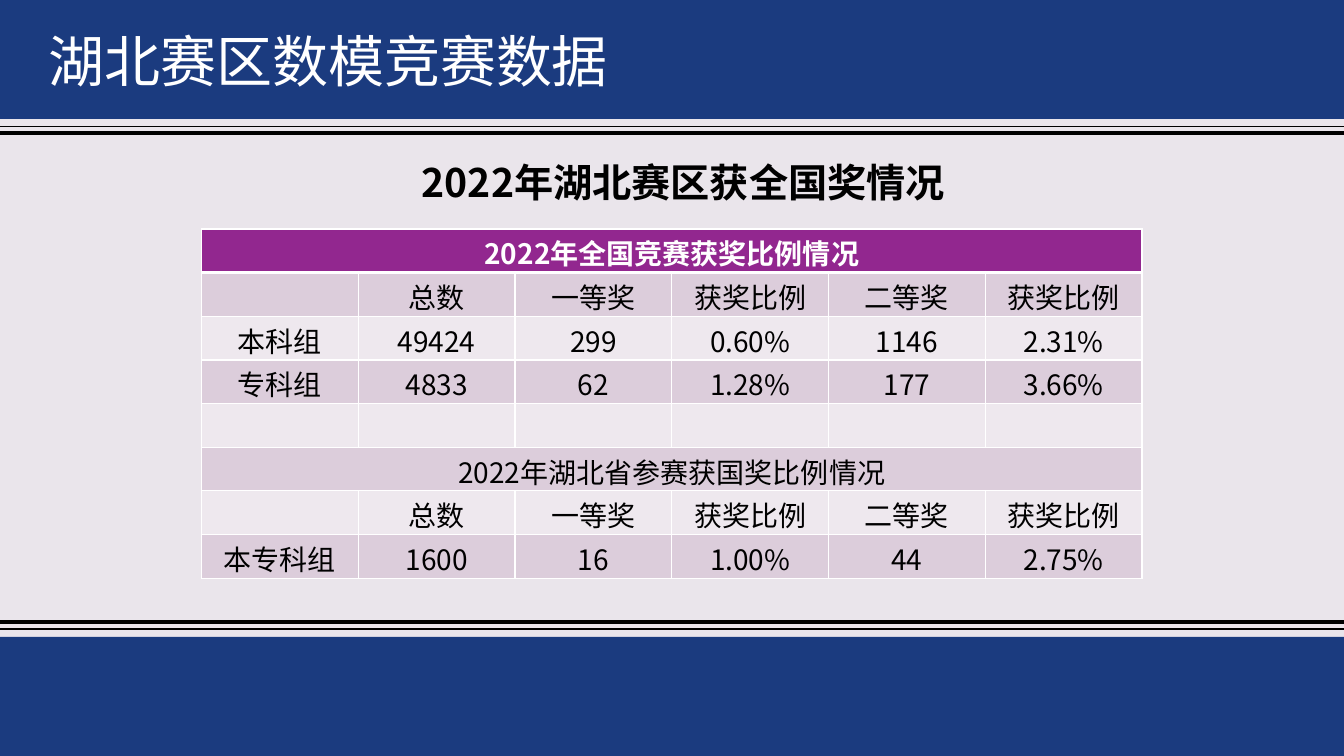
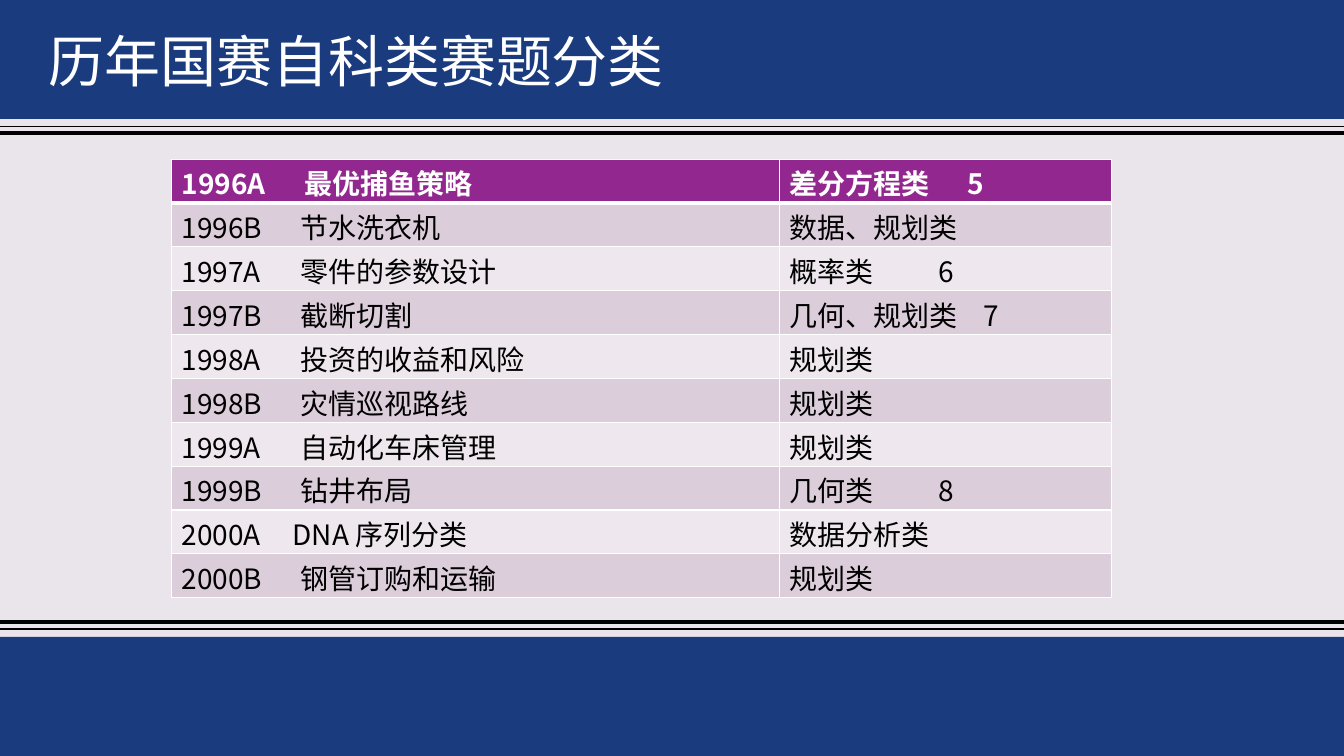
"""Build two slides of tables about the mathematical modelling contest."""
from lxml import etree
from pptx import Presentation
from pptx.dml.color import RGBColor
from pptx.enum import shapes, text
from pptx.oxml import ns
from pptx.util import Cm, Pt

FONT = "Noto Sans CJK SC"
BLACK = RGBColor(0x00, 0x00, 0x00)
WHITE = RGBColor(0xFF, 0xFF, 0xFF)
PAPER = RGBColor(0xEA, 0xE5, 0xEB)
NAVY = RGBColor(0x1B, 0x3B, 0x7F)
PURPLE = RGBColor(0x92, 0x27, 0x8F)
STRIPES = [RGBColor(0xEE, 0xE8, 0xEE), RGBColor(0xDC, 0xCD, 0xDB)]
WIDTH, HEIGHT, BAND = Cm(33.87), Cm(19.05), Cm(3)
ROW_HEIGHT = Cm(1.1)
LEFT, CENTER = text.PP_ALIGN.LEFT, text.PP_ALIGN.CENTER


def style_paragraph(para, size, color, bold=False, align=LEFT, tab=None):
    para.alignment = align
    if tab:
        tabs = etree.SubElement(para._p.get_or_add_pPr(), ns.qn("a:tabLst"))
        etree.SubElement(tabs, ns.qn("a:tab"), pos=str(Cm(tab)), algn="l")
    para.font.size = Pt(size)
    para.font.bold = bold
    para.font.color.rgb = color
    para.font.name = FONT
    latin = para.font._element.find(ns.qn("a:latin"))
    latin.addnext(latin.makeelement(ns.qn("a:ea"), typeface=FONT))


def add_grid(page, left, top, widths, rows, align, tabs):
    frame = page.shapes.add_table(len(rows), len(widths), Cm(left), Cm(top),
                                  Cm(sum(widths)), ROW_HEIGHT * len(rows))
    table = frame.table
    for column, width in zip(table.columns, widths):
        column.width = Cm(width)
    for r, row in enumerate(rows):
        table.rows[r].height = ROW_HEIGHT
        for c in range(len(widths)):
            cell = table.cell(r, c)
            cell.margin_top, cell.margin_bottom = Cm(0.08), 0
            for side in ("lnL", "lnR", "lnT", "lnB"):
                heavy = (r, side) in ((0, "lnB"), (1, "lnT"))
                line = etree.SubElement(cell._tc.get_or_add_tcPr(), ns.qn("a:" + side),
                                        w=str(Pt(3 if heavy else 1)))
                ink = etree.SubElement(line, ns.qn("a:solidFill"))
                etree.SubElement(ink, ns.qn("a:srgbClr"), val=str(WHITE))
            cell.fill.solid()
            cell.fill.fore_color.rgb = STRIPES[r % 2] if r else PURPLE
            para = cell.text_frame.paragraphs[0]
            if c < len(row):
                para.text = row[c]
            style_paragraph(para, 20, BLACK if r else WHITE, r == 0, align, tabs.get((r, c)))
        if len(row) == 1:
            table.cell(r, 0).merge(table.cell(r, len(widths) - 1))


deck = Presentation()
deck.slide_width, deck.slide_height = WIDTH, HEIGHT
layout = deck.slide_layouts[5]
layout.background.fill.solid()
layout.background.fill.fore_color.rgb = PAPER
for holder in list(layout.placeholders):
    if holder.placeholder_format.type == shapes.PP_PLACEHOLDER.TITLE:
        holder.left, holder.top, holder.width, holder.height = Cm(0.97), Cm(0.53), Cm(30), Cm(1.96)
    else:
        holder.element.getparent().remove(holder.element)

pages = []
for heading in ["湖北赛区数模竞赛数据", "历年国赛自科类赛题分类"]:
    page = deck.slides.add_slide(layout)
    frame = page.shapes.title.text_frame
    frame.text = heading
    frame.auto_size = text.MSO_AUTO_SIZE.NONE
    frame.vertical_anchor = text.MSO_ANCHOR.MIDDLE
    style_paragraph(frame.paragraphs[0], 40, WHITE)
    pages.append(page)
awards_page, topics_page = pages

decorations = []
for y, weight in [(15.67, 3), (15.85, 1), (3.35, 3), (3.18, 1)]:
    rule = awards_page.shapes.add_connector(shapes.MSO_CONNECTOR.STRAIGHT, 0, Cm(y), WIDTH, Cm(y))
    rule.line.color.rgb = BLACK
    rule.line.width = Pt(weight)
    etree.SubElement(rule.element.spPr, ns.qn("a:effectLst"))
    decorations.append(rule)
for top in (HEIGHT - BAND, 0):
    band = awards_page.shapes.add_shape(shapes.MSO_SHAPE.RECTANGLE, 0, top, WIDTH, BAND)
    band.shadow.inherit = False
    band.fill.solid()
    band.fill.fore_color.rgb = NAVY
    band.line.fill.background()
    decorations.append(band)
for decoration in decorations:
    layout.shapes.element.append(decoration.element)

caption = awards_page.shapes.add_textbox(Cm(7.42), Cm(3.86), Cm(19.6), Cm(1.45)).text_frame
caption.word_wrap = True
caption.vertical_anchor = text.MSO_ANCHOR.MIDDLE
caption.text = "2022年湖北赛区获全国奖情况"
style_paragraph(caption.paragraphs[0], 28, BLACK, True, CENTER)

column_heads = ["", "总数", "一等奖", "获奖比例", "二等奖", "获奖比例"]
awards = [
    ["2022年全国竞赛获奖比例情况"],
    column_heads,
    ["本科组", "49424", "299", "0.60%", "1146", "2.31%"],
    ["专科组", "4833", "62", "1.28%", "177", "3.66%"],
    [""] * 6,
    ["2022年湖北省参赛获国奖比例情况"],
    column_heads,
    ["本专科组", "1600", "16", "1.00%", "44", "2.75%"],
]
add_grid(awards_page, 5.08, 5.77, [3.95] * 6, awards, CENTER, {})

topics = [
    ["1996A\t最优捕鱼策略", "差分方程类\t5"],
    ["1996B\t节水洗衣机", "数据、规划类"],
    ["1997A\t零件的参数设计", "概率类\t6"],
    ["1997B\t截断切割", "几何、规划类\t7"],
    ["1998A\t投资的收益和风险", "规划类"],
    ["1998B\t灾情巡视路线", "规划类"],
    ["1999A\t自动化车床管理", "规划类"],
    ["1999B\t钻井布局", "几何类\t8"],
    ["2000A\tDNA 序列分类", "数据分析类"],
    ["2000B\t钢管订购和运输", "规划类"],
]
topic_tabs = {(r, 0): 3 for r in range(len(topics))}
topic_tabs |= {(0, 0): 3.1, (8, 0): 2.8, (0, 1): 4.5, (2, 1): 3.75, (3, 1): 4.9, (7, 1): 3.75}
add_grid(topics_page, 4.32, 4.01, [15.32, 8.38], topics, LEFT, topic_tabs)

deck.save("out.pptx")
